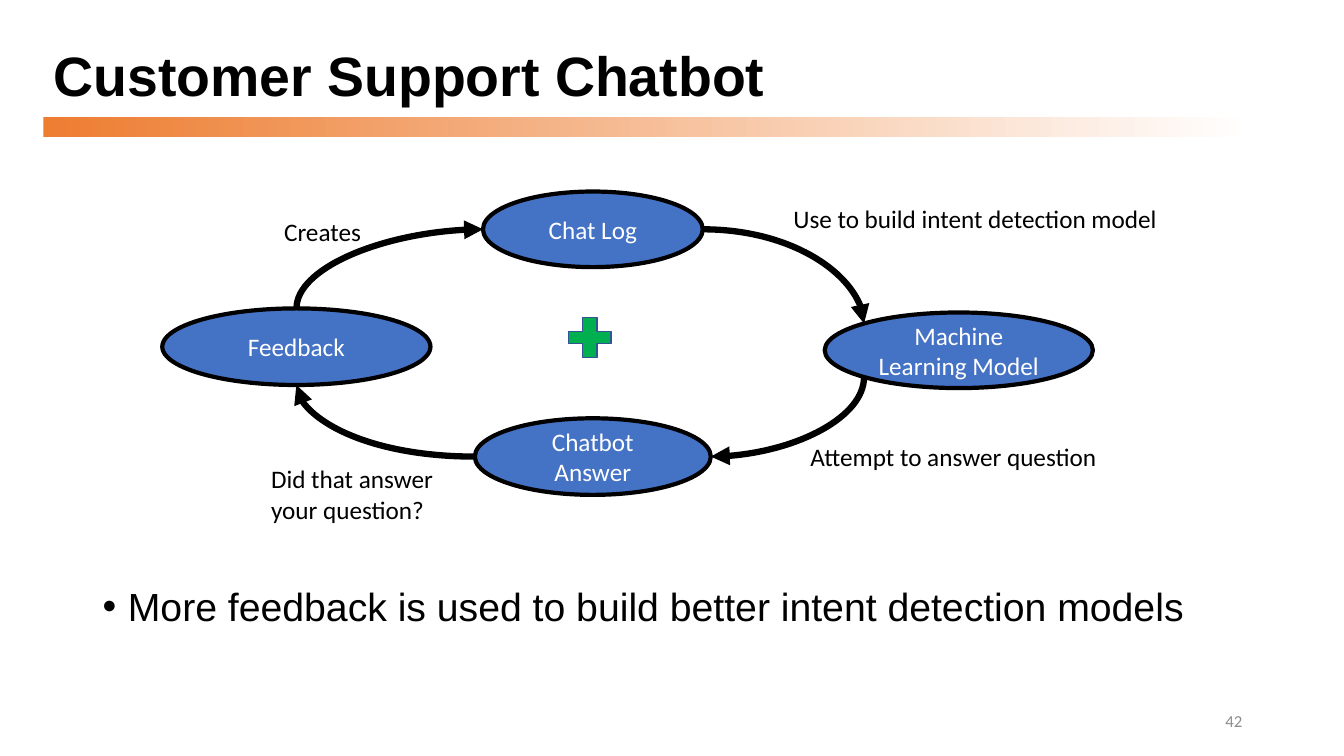
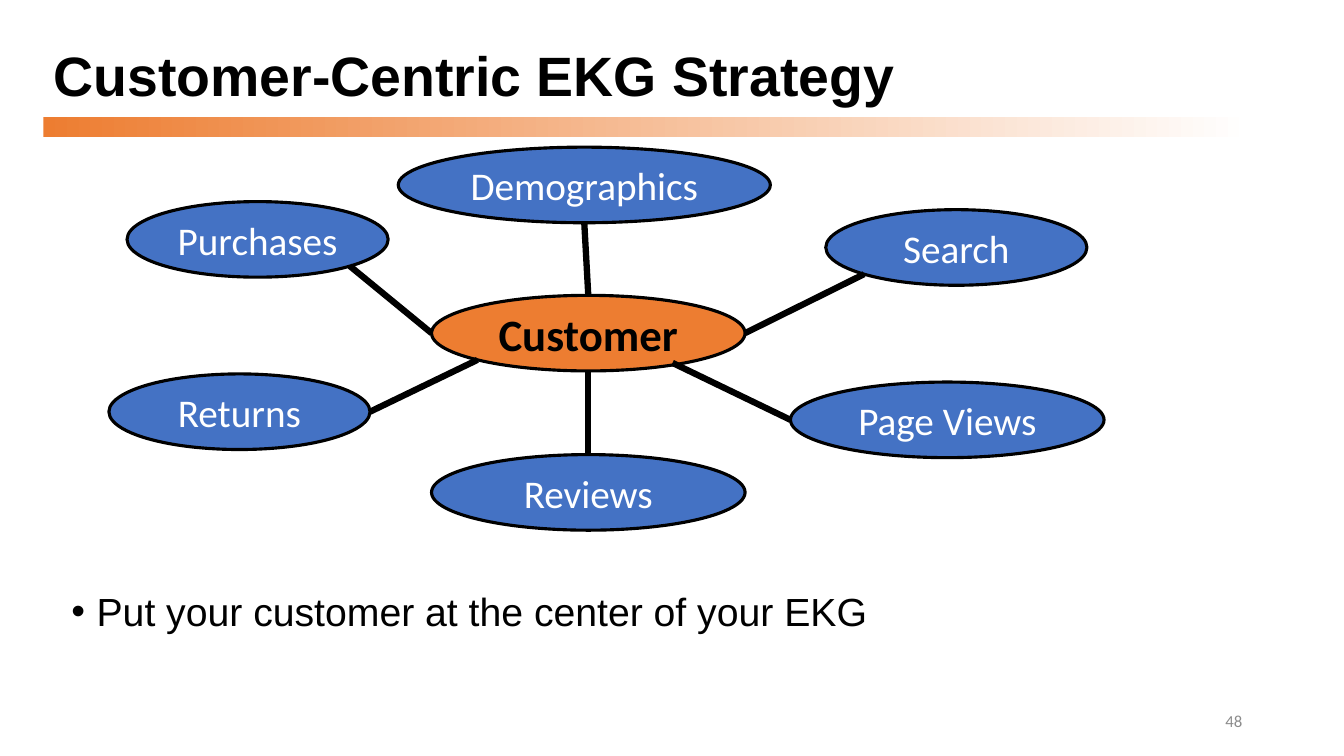
from math import cos, pi, sin

from lxml.etree import SubElement
from pptx import Presentation
from pptx.dml.color import RGBColor
from pptx.enum.shapes import MSO_CONNECTOR as LINK, MSO_SHAPE as SHAPE
from pptx.enum.text import MSO_ANCHOR as ANCHOR, MSO_AUTO_SIZE as FIT, PP_ALIGN as ALIGN
from pptx.oxml.ns import qn
from pptx.util import Emu, Pt

PX = 9144  # 100 px to the inch
COLORS = {
    "black": "000000", "white": "FFFFFF", "blue": "4472C4", "orange": "ED7D31",
    "green": "00B050", "navy": "325491", "gray": "8C8C8C",
}
TITLE = {"size": Pt(39.6), "name": "Arial", "bold": True}
BODY = {"size": Pt(28), "name": "Arial"}
NUMBER = {"size": Pt(12), "name": "Calibri"}
LABEL = {"size": Pt(18), "name": "Calibri"}
TOPIC = {"size": Pt(28), "name": "Calibri"}
CENTER = {"size": Pt(32), "name": "Calibri", "bold": True}

# Connection sites of an ellipse, counter-clockwise from the top
TOP, TOP_LEFT, LEFT, BOTTOM_LEFT, BOTTOM, BOTTOM_RIGHT, RIGHT, TOP_RIGHT = range(8)


def px(*lengths):
    return [Emu(round(length * PX)) for length in lengths]


def rgb(color):
    return RGBColor.from_string(COLORS[color])


def write(box, text, style, color, align=ALIGN.LEFT, anchor=ANCHOR.TOP, wrap=True):
    """Fill a box with one paragraph per line of text."""
    frame = box.text_frame
    frame.text = text
    frame.word_wrap = wrap
    frame.vertical_anchor = anchor
    frame.auto_size = FIT.NONE if wrap else FIT.SHAPE_TO_FIT_TEXT
    for para in frame.paragraphs:
        para.alignment = align
        for span in para.runs:
            for key, value in style.items():
                setattr(span.font, key, value)
            span.font.color.rgb = rgb(color)
    return frame


def add_shape(page, kind, box, fill, line, width):
    shape = page.shapes.add_shape(kind, *px(*box))
    shape.shadow.inherit = False
    shape.fill.solid()
    shape.fill.fore_color.rgb = rgb(fill)
    shape.line.color.rgb = rgb(line)
    shape.line.width = Pt(width)
    return shape


def add_ellipse(page, box, text, style, width, fill="blue", color="white"):
    ellipse = add_shape(page, SHAPE.OVAL, box, fill, "black", width)
    write(ellipse, text, style, color, ALIGN.CENTER, ANCHOR.MIDDLE)
    return ellipse


def add_label(page, box, text):
    write(page.shapes.add_textbox(*px(*box)), text, LABEL, "black", wrap=False)


# Connectors
def site_point(ellipse, site):
    angle = site * pi / 4
    return (ellipse.left + ellipse.width / 2 * (1 - sin(angle)),
            ellipse.top + ellipse.height / 2 * (1 - cos(angle)))


def add_link(page, kind, start, end, ends):
    """Draw a heavy line and glue it to the (ellipse, site) pairs in ends."""
    points = [Emu(round(value)) for value in (*start, *end)]
    link = page.shapes.add_connector(kind, *points)
    link.line.color.rgb = rgb("black")
    link.line.width = Pt(4.5)
    SubElement(link._element.spPr, qn("a:effectLst"))
    glue = link._element.find(".//" + qn("p:cNvCxnSpPr"))
    for tag, (ellipse, site) in ends.items():
        SubElement(glue, qn(tag), id=str(ellipse.shape_id), idx=str(site))
    return link


def add_spoke(page, begin, end, loose_start=None):
    """Join two ellipses straight; loose_start replaces the first site."""
    ends = {"a:endCxn": end}
    if not loose_start:
        ends = {"a:stCxn": begin, **ends}
    start = loose_start or site_point(*begin)
    add_link(page, LINK.STRAIGHT, start, site_point(*end), ends)


def add_arc(page, begin, end, upright=False):
    """Join two ellipses by a quarter-turn arrow; upright ones leave vertically."""
    (x1, y1), (x2, y2) = start, stop = site_point(*begin), site_point(*end)
    if upright:  # the outline before its quarter turn about the centre
        mid_x, mid_y = (x1 + x2) / 2, (y1 + y2) / 2
        half_x, half_y = (y2 - y1) / 2, (x1 - x2) / 2
        start = mid_x - half_x, mid_y - half_y
        stop = mid_x + half_x, mid_y + half_y
    arc = add_link(page, LINK.CURVE, start, stop, {"a:stCxn": begin, "a:endCxn": end})
    properties = arc._element.spPr
    properties.find(qn("a:prstGeom")).set("prst", "curvedConnector2")
    if upright:
        properties.find(qn("a:xfrm")).set("rot", "5400000")
    SubElement(properties.find(qn("a:ln")), qn("a:tailEnd"), type="triangle")


# Parts shared by the slides
def add_page(deck, title, number):
    page = deck.slides.add_slide(deck.slide_layouts[5])
    heading = page.shapes.title
    heading.left, heading.top, heading.width, heading.height = px(43, 40, 1198, 76)
    frame = write(heading, title, TITLE, "black", anchor=ANCHOR.MIDDLE)
    frame.paragraphs[0].line_spacing = 0.9

    band = add_shape(page, SHAPE.RECTANGLE, (43, 116, 1198, 20), "orange", "orange", 1)
    band.line.fill.background()
    band.fill.gradient()
    band.fill.gradient_angle = 0
    for stop, color, position in zip(band.fill.gradient_stops, ("orange", "white"), (0, 1)):
        stop.color.rgb = rgb(color)
        stop.position = position

    footer = page.shapes.add_textbox(*px(942, 695, 300, 40))
    write(footer, number, NUMBER, "gray", ALIGN.RIGHT, ANCHOR.MIDDLE)
    return page


def add_bullet(page, box, text):
    frame = write(page.shapes.add_textbox(*px(*box)), text, BODY, "black")
    para = frame.paragraphs[0]
    para.line_spacing = 0.9
    properties = para._p.get_or_add_pPr()
    indent = 25 * PX
    properties.set("marL", str(indent))
    properties.set("indent", str(-indent))
    SubElement(properties, qn("a:buFont"), typeface="Arial")
    SubElement(properties, qn("a:buChar"), char="•")


# Feedback cycle
def add_cycle(page, left, top):
    def place(x, y, width, height):
        return left + x, top + y, width, height

    chat_log, answer, model, feedback = [
        add_ellipse(page, place(*box), text, LABEL, 3)
        for box, text in (
            ((318, 0, 218, 75), "Chat Log"),
            ((310, 225, 234, 76), "Chatbot\nAnswer"),
            ((657, 120, 266, 75), "Machine Learning Model"),
            ((0, 116, 266, 76), "Feedback"),
        )
    ]
    add_arc(page, (chat_log, RIGHT), (model, TOP_LEFT))
    add_arc(page, (model, BOTTOM_LEFT), (answer, RIGHT), upright=True)
    add_arc(page, (answer, LEFT), (feedback, BOTTOM))
    add_arc(page, (feedback, TOP), (chat_log, LEFT), upright=True)
    for box, text in (
        ((616, 7, 385, 40), "Use to build intent detection model"),
        ((633, 243, 308, 40), "Attempt to answer question"),
        ((98, 265, 183, 71), "Did that answer\nyour question?"),
        ((111, 20, 97, 40), "Creates"),
    ):
        add_label(page, place(*box), text)
    plus = add_shape(page, SHAPE.CROSS, place(403, 125, 42, 40), "green", "navy", 1)
    plus.adjustments[0] = 0.348


# Customer hub with its topics
def add_hub(page, left, top):
    def place(x, y, width):
        return left + x, top + y, width, 75

    customer = add_ellipse(page, place(320, 147, 311), "Customer", CENTER, 2.25,
                           "orange", "black")
    for box, text, topic_site, hub_site in (
        ((18, 54, 259), "Purchases", BOTTOM_RIGHT, LEFT),
        ((711, 62, 259), "Search", BOTTOM_LEFT, RIGHT),
        ((676, 233, 311), "Page Views", LEFT, None),
        ((0, 225, 259), "Returns", RIGHT, BOTTOM_LEFT),
        ((320, 305, 311), "Reviews", TOP, BOTTOM),
        ((287, 0, 369), "Demographics", BOTTOM, TOP),
    ):
        topic = add_ellipse(page, place(*box), text, TOPIC, 2.25)
        loose = px(left + 559, top + 214) if hub_site is None else None
        add_spoke(page, (customer, hub_site), (topic, topic_site), loose)


def main():
    deck = Presentation()
    deck.slide_width, deck.slide_height = px(1333, 750)

    page = add_page(deck, "Customer Support Chatbot", "42")
    add_bullet(page, (92, 578, 1150, 98),
               "More feedback is used to build better intent detection models")
    add_cycle(page, 161, 190)

    page = add_page(deck, "Customer-Centric EKG Strategy", "48")
    add_bullet(page, (61, 583, 1162, 119), "Put your customer at the center of your EKG")
    add_hub(page, 108, 146)

    deck.save("out.pptx")


if __name__ == "__main__":
    main()
